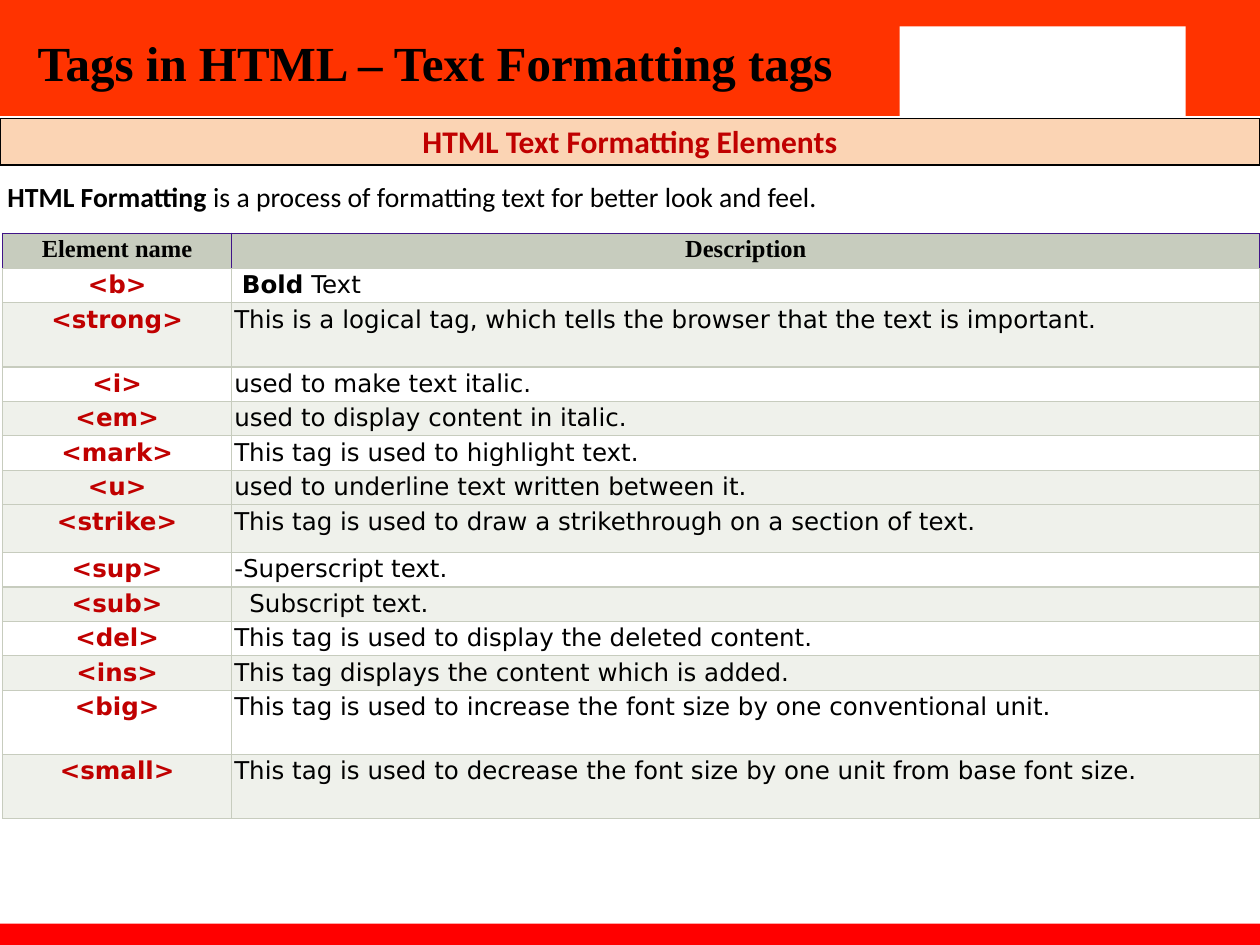
"""Build the slide on HTML text formatting tags."""
import lxml.etree
import pptx
import pptx.dml.color
import pptx.enum.shapes
import pptx.enum.text
import pptx.oxml.ns
import pptx.util

Inches = pptx.util.Inches
ALIGN = pptx.enum.text.PP_ALIGN
COLORS = {
    "header": "FF3300", "footer": "FF0000", "white": "FFFFFF", "black": "000000",
    "peach": "FBD4B4", "dark_red": "C00000", "sage": "C7CCBE", "tint": "EFF1EB",
    "indigo": "401488",
}


def write_text(frame, text, size, font, color="black", bold=False,
               align=ALIGN.LEFT, bold_part=""):
    paragraph = frame.paragraphs[0]
    paragraph.alignment = align
    for content, is_bold in ((bold_part, True), (text, bold)):
        if content:
            run = paragraph.add_run()
            run.text = content
            run.font.size = pptx.util.Pt(size)
            run.font.name = font
            run.font.bold = is_bold
            run.font.color.rgb = pptx.dml.color.RGBColor.from_string(COLORS[color])


def style_cell(cell, fill, borders):
    cell.margin_left = cell.margin_right = Inches(0.02)
    cell.margin_top = cell.margin_bottom = Inches(0.02)
    cell.fill.solid()
    cell.fill.fore_color.rgb = pptx.dml.color.RGBColor.from_string(COLORS[fill])
    properties = cell._tc.get_or_add_tcPr()
    for index, (side, color) in enumerate(zip("LRTB", borders)):
        line = lxml.etree.Element(pptx.oxml.ns.qn(f"a:ln{side}"), w="9525")
        solid = lxml.etree.SubElement(line, pptx.oxml.ns.qn("a:solidFill"))
        lxml.etree.SubElement(solid, pptx.oxml.ns.qn("a:srgbClr"), val=COLORS[color])
        properties.insert(index, line)


presentation = pptx.Presentation()
presentation.slide_width = Inches(10)
presentation.slide_height = Inches(7.5)
slide = presentation.slides.add_slide(presentation.slide_layouts[6])

bands = [
    (0, 0, 10, 0.92, "header"),
    (0, 7.33, 10, 0.17, "footer"),
    (7.14, 0.21, 2.27, 0.75, "white"),
    (0, 0.94, 10, 0.37, "peach"),
]
for left, top, width, height, fill in bands:
    shape = slide.shapes.add_shape(
        pptx.enum.shapes.MSO_SHAPE.RECTANGLE,
        Inches(left), Inches(top), Inches(width), Inches(height))
    shape.shadow.inherit = False
    shape.fill.solid()
    shape.fill.fore_color.rgb = pptx.dml.color.RGBColor.from_string(COLORS[fill])
    shape.line.fill.background()

subtitle = shape
subtitle.line.color.rgb = pptx.dml.color.RGBColor.from_string(COLORS["black"])
subtitle.line.width = pptx.util.Pt(0.75)
intro = slide.shapes.add_textbox(Inches(0), Inches(1.4), Inches(7), Inches(0.33))
title = slide.shapes.add_textbox(Inches(0.2), Inches(0.21), Inches(6.58), Inches(0.57))
for box, side_margin, end_margin in (
        (subtitle, 0.06, 0.03), (intro, 0.06, 0.03), (title, 0.1, 0.05)):
    frame = box.text_frame
    frame.word_wrap = True
    frame.vertical_anchor = pptx.enum.text.MSO_ANCHOR.TOP
    frame.margin_left = frame.margin_right = Inches(side_margin)
    frame.margin_top = frame.margin_bottom = Inches(end_margin)

write_text(subtitle.text_frame, "HTML Text Formatting Elements", size=18,
           font="Calibri", color="dark_red", bold=True, align=ALIGN.CENTER)
write_text(intro.text_frame, " is a process of formatting text for better look and feel.",
           size=15.8, font="Calibri", bold_part="HTML Formatting")
write_text(title.text_frame, "Tags in HTML – Text Formatting tags", size=28,
           font="Times New Roman", bold=True)

elements = [
    ("<b>", " Text", 0.27, "white"),
    ("<strong>", "This is a logical tag, which tells the browser that the text is important.",
     0.51, "tint"),
    ("<i>", "used to make text italic.", 0.27, "white"),
    ("<em>", "used to display content in italic.", 0.27, "tint"),
    ("<mark>", "This tag is used to highlight text.", 0.27, "white"),
    ("<u>", "used to underline text written between it.", 0.27, "tint"),
    ("<strike>", "This tag is used to draw a strikethrough on a section of text.", 0.38, "tint"),
    ("<sup>", "-Superscript text.", 0.27, "white"),
    ("<sub>", "Subscript text.", 0.27, "tint"),
    ("<del>", "This tag is used to display the deleted content.", 0.27, "white"),
    ("<ins>", "This tag displays the content which is added.", 0.27, "tint"),
    ("<big>", "This tag is used to increase the font size by one conventional unit.",
     0.51, "white"),
    ("<small>", "This tag is used to decrease the font size by one unit from base font size.",
     0.51, "tint"),
]
indents = {"<b>": 0.08, "<sub>": 0.14}
bold_parts = {"<b>": "Bold"}

table = slide.shapes.add_table(
    len(elements) + 1, 2, Inches(0.02), Inches(1.85), Inches(9.98), Inches(4.61)).table
table.first_row = table.horz_banding = False
table.columns[0].width = Inches(1.82)
table.columns[1].width = Inches(8.16)
table.rows[0].height = Inches(0.28)

for column, heading in enumerate(("Element name", "Description")):
    cell = table.cell(0, column)
    style_cell(cell, "sage", ("indigo", "indigo", "indigo", "sage"))
    write_text(cell.text_frame, heading, size=14, font="Times New Roman",
               bold=True, align=ALIGN.CENTER)

for row, (tag, description, height, fill) in enumerate(elements, start=1):
    table.rows[row].height = Inches(height)
    tag_cell, description_cell = table.cell(row, 0), table.cell(row, 1)
    for cell in (tag_cell, description_cell):
        style_cell(cell, fill, ("sage",) * 4)
    description_cell.margin_left = Inches(indents.get(tag, 0.02))
    write_text(tag_cell.text_frame, tag, size=14, font="DejaVu Sans",
               color="dark_red", bold=True, align=ALIGN.CENTER)
    write_text(description_cell.text_frame, description, size=14, font="DejaVu Sans",
               bold_part=bold_parts.get(tag, ""))

presentation.save("out.pptx")
